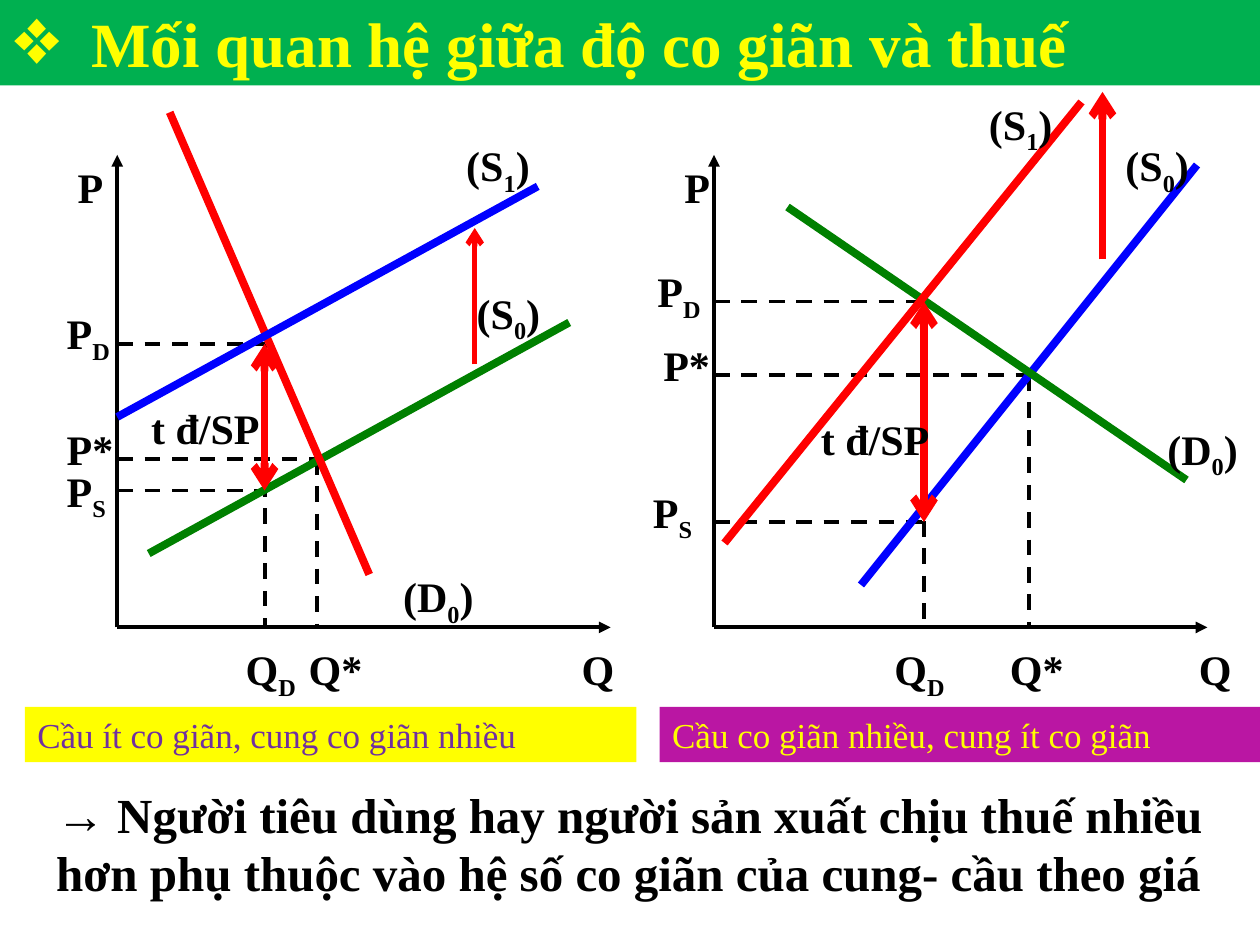
from dataclasses import dataclass

import lxml.etree
import pptx
import pptx.dml.color
import pptx.enum.dml
import pptx.enum.shapes
import pptx.enum.text
import pptx.oxml.ns
import pptx.util

Pt = pptx.util.Pt


@dataclass(frozen=True)
class Theme:
    font: str = "Times New Roman"
    ink: str = "000000"
    red: str = "FF0000"
    blue: str = "0000FF"
    green: str = "008000"
    yellow: str = "FFFF00"
    purple: str = "7030A0"
    magenta: str = "BA16A3"
    banner: str = "00B050"
    title_size: float = 36
    statement_size: float = 28
    label_size: float = 24
    caption_size: float = 20
    axis_width: float = 2.25
    curve_width: float = 4.5


@dataclass(frozen=True)
class Market:
    """One supply and demand diagram; curves are (colour, start, end)."""
    origin_x: float
    axis_end_x: float
    quantity_taxed: float
    quantity_free: float
    price_buyer: float
    price_free: float
    price_seller: float
    curves: tuple
    shift: tuple
    shift_width: float
    labels: dict
    axis_labels: dict


THEME = Theme()
AXIS_Y, AXIS_TOP, AXIS_LABEL_Y = 358.5, 88.5, 364.3
LABEL_HEIGHT = 36
LABEL_WIDTHS = {"P": 78, "t đ/SP": 78, "Q": 42, "P*": 42, "P_S": 42, "P_D": 51,
                "Q_D": 48, "Q*": 48, "(S_0)": 60, "(S_1)": 60, "(D_0)": 60}

MARKETS = (
    Market(
        origin_x=67, axis_end_x=349, quantity_taxed=151.2, quantity_free=181.3,
        price_buyer=196.5, price_free=262.3, price_seller=280.3,
        curves=((THEME.green, (85, 316.3), (325.3, 184.3)),
                (THEME.red, (97, 64.2), (211, 328.3)),
                (THEME.blue, (67, 238.3), (307.3, 106.5))),
        shift=((271.3, 208.2), (271.3, 130.3)), shift_width=3,
        labels={"P": (37.3, 88.5), "P_D": (31, 172.3), "P*": (31, 238.3),
                "P_S": (31, 262.3), "(S_0)": (265.3, 160.5), "(S_1)": (259.3, 76.3),
                "(D_0)": (223.3, 322.5), "t đ/SP": (79.3, 226.3)},
        axis_labels={"Q_D": 133.3, "Q*": 169.3, "Q": 325.3}),
    Market(
        origin_x=408, axis_end_x=690, quantity_taxed=528, quantity_free=588,
        price_buyer=172.3, price_free=214.3, price_seller=298.3,
        curves=((THEME.blue, (492, 334.3), (684, 94.3)),
                (THEME.green, (450, 118.3), (678, 274.3)),
                (THEME.red, (414, 310.3), (618, 58.3))),
        shift=((630, 148.3), (630, 52.5)), shift_width=4.5,
        labels={"P": (384, 88.5), "P_D": (368.6, 148.3), "P*": (372, 190.3),
                "P_S": (366, 274.3), "(S_0)": (636, 76.3), "(S_1)": (558, 52.5),
                "(D_0)": (660, 238.3), "t đ/SP": (462, 232.5)},
        axis_labels={"Q_D": 504, "Q*": 570, "Q": 678}),
)


def rgb(color):
    return pptx.dml.color.RGBColor.from_string(color)


def add_xml(parent, tag, **attributes):
    return lxml.etree.SubElement(parent, pptx.oxml.ns.qn(tag), attributes)


class SlideBuilder:
    def __init__(self, slide, theme):
        self.slide = slide
        self.theme = theme

    def style(self, paragraph, size, color, bold=True):
        paragraph.alignment = pptx.enum.text.PP_ALIGN.LEFT
        font = paragraph.font
        font.name, font.size, font.bold = self.theme.font, Pt(size), bold
        font.color.rgb = rgb(color)

    def title(self, text, width, height):
        shape = self.slide.shapes.title
        shape.left, shape.top, shape.width, shape.height = 0, 0, Pt(width), Pt(height)
        shape.fill.solid()
        shape.fill.fore_color.rgb = rgb(self.theme.banner)
        frame = shape.text_frame
        frame.text = text
        frame.auto_size = pptx.enum.text.MSO_AUTO_SIZE.NONE
        paragraph = frame.paragraphs[0]
        properties = paragraph._p.get_or_add_pPr()
        properties.set("marL", str(Pt(45)))
        properties.set("indent", str(Pt(-45)))
        add_xml(add_xml(properties, "a:buClr"), "a:srgbClr", val=self.theme.yellow)
        add_xml(properties, "a:buFont", typeface=self.theme.font)
        add_xml(properties, "a:buChar", char="❖")
        self.style(paragraph, self.theme.title_size, self.theme.yellow)

    def text_box(self, left, top, width, height):
        frame = self.slide.shapes.add_textbox(
            Pt(left), Pt(top), Pt(width), Pt(height)).text_frame
        frame.word_wrap = True
        return frame

    def label(self, text, left, top):
        """Write a label; the character after an underscore is a subscript."""
        frame = self.text_box(left, top, LABEL_WIDTHS[text], LABEL_HEIGHT)
        frame.margin_right = 0
        paragraph = frame.paragraphs[0]
        base, _, rest = text.partition("_")
        for position, part in enumerate((base, rest[:1], rest[1:])):
            if part:
                run = paragraph.add_run()
                run.text = part
                if position == 1:
                    run._r.get_or_add_rPr().set("baseline", "-25000")
        self.style(paragraph, self.theme.label_size, self.theme.ink)

    def statement(self, text, left, top, width, height):
        frame = self.text_box(left, top, width, height)
        frame.text = text
        self.style(frame.paragraphs[0], self.theme.statement_size, self.theme.ink)

    def caption(self, text, left, width, fill, color):
        shape = self.slide.shapes.add_shape(
            pptx.enum.shapes.MSO_SHAPE.RECTANGLE, Pt(left), Pt(404), Pt(width), Pt(31.5))
        shape.shadow.inherit = False
        shape.fill.solid()
        shape.fill.fore_color.rgb = rgb(fill)
        shape.line.fill.background()
        shape.text_frame.text = text
        self.style(shape.text_frame.paragraphs[0], self.theme.caption_size, color, bold=False)

    def line(self, start, end, color, width, dashed=False, head=None, tail=None):
        connector = self.slide.shapes.add_connector(
            pptx.enum.shapes.MSO_CONNECTOR.STRAIGHT, *(Pt(value) for value in start + end))
        connector.line.color.rgb = rgb(color)
        connector.line.width = Pt(width)
        if dashed:
            connector.line.dash_style = pptx.enum.dml.MSO_LINE.DASH
        outline = connector.line._get_or_add_ln()
        for tag, arrow in (("a:headEnd", head), ("a:tailEnd", tail)):
            if arrow:
                add_xml(outline, tag, type=arrow)
        add_xml(connector._element.spPr, "a:effectLst")

    def market(self, market):
        theme = self.theme
        origin = (market.origin_x, AXIS_Y)
        for end in ((market.origin_x, AXIS_TOP), (market.axis_end_x, AXIS_Y)):
            self.line(origin, end, theme.ink, theme.axis_width, tail="triangle")

        buyer = (market.quantity_taxed, market.price_buyer)
        seller = (market.quantity_taxed, market.price_seller)
        free = (market.quantity_free, market.price_free)
        for point in (buyer, seller, free):
            self.line((market.origin_x, point[1]), point, theme.ink, theme.axis_width, dashed=True)
        for point in (buyer, free):
            self.line(point, (point[0], AXIS_Y), theme.ink, theme.axis_width, dashed=True)

        for color, start, end in market.curves:
            self.line(start, end, color, theme.curve_width)
        self.line(*market.shift, theme.red, market.shift_width, tail="arrow")
        self.line(buyer, seller, theme.red, theme.curve_width, head="arrow", tail="arrow")

        for text, (left, top) in market.labels.items():
            self.label(text, left, top)
        for text, left in market.axis_labels.items():
            self.label(text, left, AXIS_LABEL_Y)


def main():
    presentation = pptx.Presentation()
    presentation.slide_width, presentation.slide_height = Pt(720), Pt(540)
    title_only = presentation.slide_layouts[5]
    builder = SlideBuilder(presentation.slides.add_slide(title_only), THEME)

    builder.title("Mối quan hệ giữa độ co giãn và thuế", 720, 48.75)
    for market in MARKETS:
        builder.market(market)
    builder.statement("→ Người tiêu dùng hay người sản xuất chịu thuế nhiều hơn phụ thuộc "
                      "vào hệ số co giãn của cung- cầu theo giá", 25, 444.5, 683.5, 75)
    builder.caption("Cầu ít co giãn, cung co giãn nhiều", 14.25, 349.5,
                    THEME.yellow, THEME.purple)
    builder.caption("Cầu co giãn nhiều, cung ít co giãn", 377, 343,
                    THEME.magenta, THEME.yellow)
    presentation.save("out.pptx")


if __name__ == "__main__":
    main()
